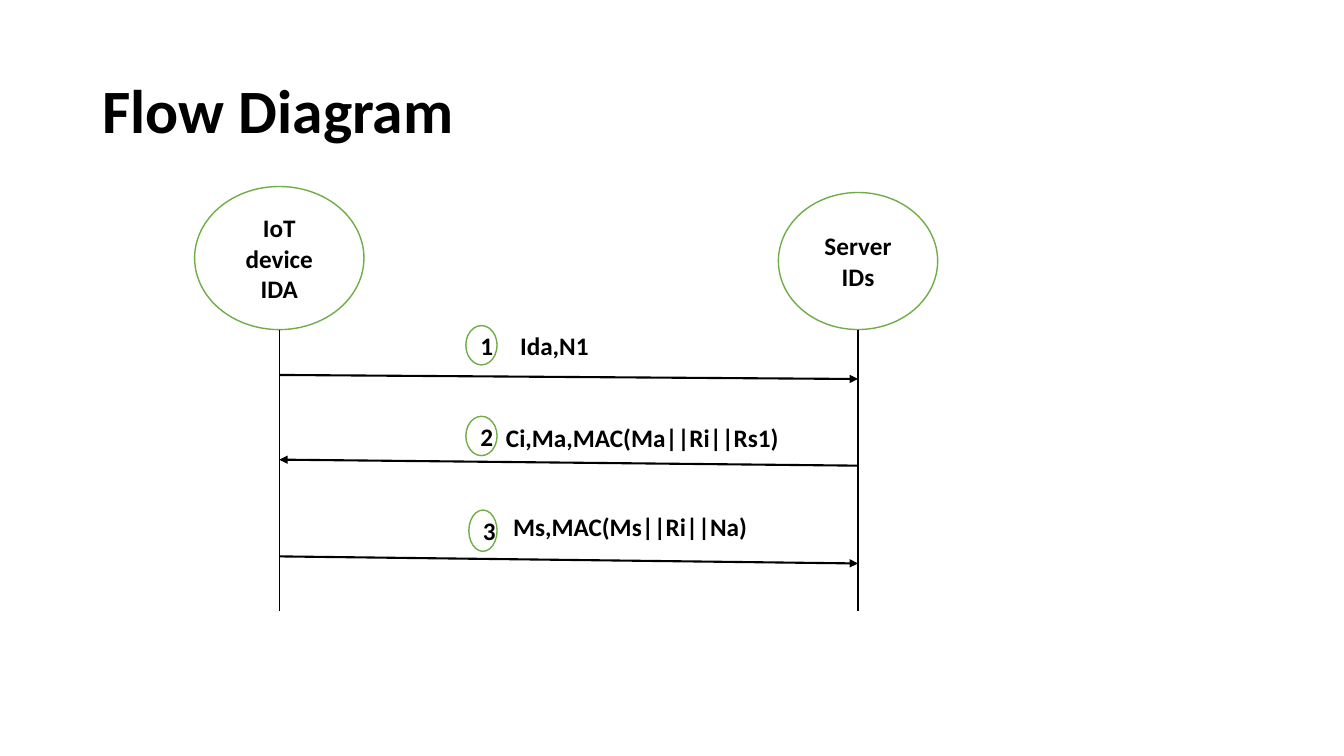
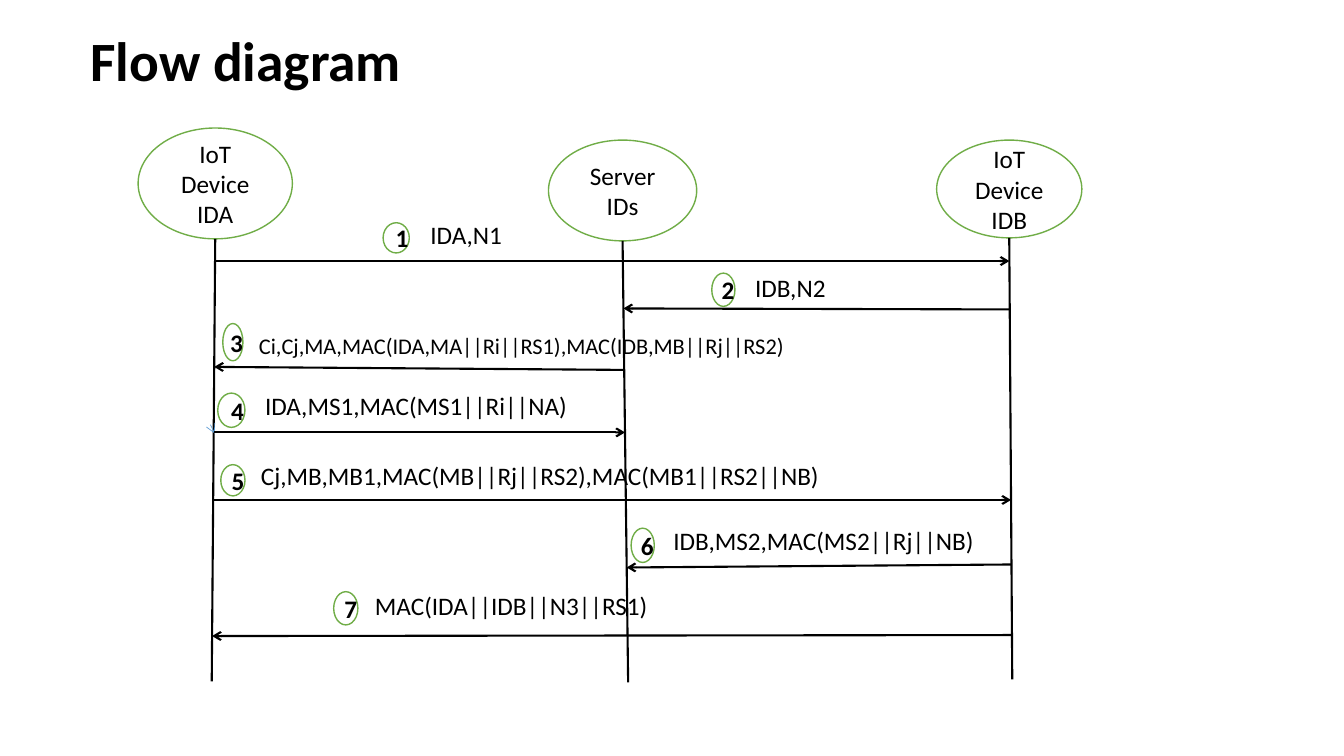
"""Build two message flow diagrams on a grid of square cells, 75 rows to the slide."""
from dataclasses import dataclass
from typing import Optional

import lxml.etree
import pptx
import pptx.dml.color
import pptx.enum.shapes
import pptx.enum.text
import pptx.oxml.ns
import pptx.util

COLORS = {"ink": "000000", "paper": "FFFFFF", "ring": "70AD47", "accent": "5B9BD5"}
FONT = "Calibri"
ROWS = 75
LABEL_ROWS = 4
SHAPES = pptx.enum.shapes.MSO_SHAPE
ANCHOR = pptx.enum.text.MSO_ANCHOR
ALIGN = pptx.enum.text.PP_ALIGN

prs = pptx.Presentation()
prs.slide_width = pptx.util.Inches(13.33)
prs.slide_height = pptx.util.Inches(7.5)

Point = tuple[float, float]
Box = tuple[float, float, float, float]


@dataclass(frozen=True)
class Actor:
    text: str
    box: Box
    foot: Point
    weight: float = 1.5

    @property
    def head(self) -> Point:
        left, top, width, height = self.box
        return left + width / 2, top + height

    def x_at(self, y: float) -> float:
        (x0, y0), (x1, y1) = self.head, self.foot
        return x0 + (x1 - x0) * (y - y0) / (y1 - y0)


@dataclass(frozen=True)
class Message:
    text: str
    source: int
    target: int
    rows: Point
    badge: Box
    label: tuple[float, float, float]
    size: float = 18


@dataclass(frozen=True)
class Tick:
    start: Point
    end: Point


@dataclass(frozen=True)
class Flow:
    title: str
    title_box: Box
    title_size: float
    bold: bool
    arrow: str
    badge_shape: SHAPES
    actors: list[Actor]
    messages: list[Message]
    tick: Optional[Tick] = None


def cells(*values: float) -> list[int]:
    return [round(value * prs.slide_height / ROWS) for value in values]


def rgb(name: str) -> pptx.dml.color.RGBColor:
    return pptx.dml.color.RGBColor.from_string(COLORS[name])


def write(tf, text: str, size: float, bold: bool) -> None:
    tf.text = text
    for p in tf.paragraphs:
        for r in p.runs:
            r.font.name, r.font.size, r.font.bold = FONT, pptx.util.Pt(size), bold
            r.font.color.rgb = rgb("ink")


def draw_title(s, flow: Flow) -> None:
    tf = s.shapes.add_textbox(*cells(*flow.title_box)).text_frame
    tf.word_wrap = True
    tf.vertical_anchor = ANCHOR.MIDDLE
    write(tf, flow.title, flow.title_size, True)
    tf.paragraphs[0].line_spacing = 0.9


def draw_ring(s, shape: SHAPES, box: Box, text: str, bold: bool) -> None:
    sp = s.shapes.add_shape(shape, *cells(*box))
    sp.shadow.inherit = False
    sp.fill.solid()
    sp.fill.fore_color.rgb = rgb("paper")
    sp.line.color.rgb = rgb("ring")
    sp.line.width = pptx.util.Pt(1)
    tf = sp.text_frame
    tf.vertical_anchor = ANCHOR.MIDDLE
    write(tf, text, 18, bold)
    tf.paragraphs[0].alignment = ALIGN.CENTER


def draw_line(s, start: Point, end: Point, weight: float = 1.5,
              color: str = "ink", arrow: str = "") -> None:
    sp = s.shapes.add_connector(pptx.enum.shapes.MSO_CONNECTOR.STRAIGHT,
                                *cells(*start, *end))
    sp.line.color.rgb = rgb(color)
    sp.line.width = pptx.util.Pt(weight)
    qn = pptx.oxml.ns.qn
    props = sp.element.spPr
    if arrow:
        lxml.etree.SubElement(props.find(qn("a:ln")), qn("a:tailEnd"), type=arrow)
    lxml.etree.SubElement(props, qn("a:effectLst"))


def draw_label(s, message: Message, bold: bool) -> None:
    tf = s.shapes.add_textbox(*cells(*message.label, LABEL_ROWS)).text_frame
    tf.word_wrap = False
    tf.auto_size = pptx.enum.text.MSO_AUTO_SIZE.SHAPE_TO_FIT_TEXT
    write(tf, message.text, message.size, bold)


def draw_flow(flow: Flow) -> None:
    s = prs.slides.add_slide(prs.slide_layouts[6])
    draw_title(s, flow)
    for actor in flow.actors:
        draw_ring(s, SHAPES.OVAL, actor.box, actor.text, flow.bold)
        draw_line(s, actor.head, actor.foot, actor.weight)
    if flow.tick:
        draw_line(s, flow.tick.start, flow.tick.end, 0.5, "accent", flow.arrow)
    for number, message in enumerate(flow.messages, 1):
        start, end = ((flow.actors[i].x_at(y), y) for i, y in
                      zip((message.source, message.target), message.rows))
        draw_line(s, start, end, arrow=flow.arrow)
        draw_ring(s, flow.badge_shape, message.badge, str(number), True)
        draw_label(s, message, flow.bold)


FLOWS = [
    Flow("Flow Diagram", (9.2, 4, 115, 14.5), 44, True, "triangle",
         SHAPES.FLOWCHART_CONNECTOR,
         [Actor("IoT device IDA", (19.3, 18.5, 16.8, 14.2), (27.7, 60.6), 0.5),
          Actor("Server IDs", (77.2, 19.1, 15.8, 13.6), (85.1, 60.6))],
         [Message("Ida,N1", 0, 1, (37.2, 37.6),
                  (46.2, 32.3, 3.1, 3.9), (50.6, 32.3, 8.9)),
          Message("Ci,Ma,MAC(Ma||Ri||Rs1)", 1, 0, (46.2, 45.6),
                  (46.2, 41.3, 3.1, 3.9), (49.2, 41.4, 29.3)),
          Message("Ms,MAC(Ms||Ri||Na)", 0, 1, (55.2, 55.9),
                  (46.5, 50.6, 2.8, 4.1), (49.9, 50.2, 25.4))]),
    Flow("Flow diagram", (8, 4, 116.2, 4.7), 39.6, False, "arrow", SHAPES.OVAL,
         [Actor("IoT Device IDA", (13.7, 12.7, 15.3, 11), (21, 67.6)),
          Actor("Server IDs", (54.4, 13.9, 14.7, 10), (62.3, 67.7)),
          Actor("IoT Device IDB", (92.9, 13.9, 14.4, 9.7), (100.4, 67.4))],
         [Message("IDA,N1", 0, 2, (25.9, 25.9),
                  (38, 22.1, 2.6, 3), (41.7, 21.3, 9.2)),
          Message("IDB,N2", 2, 1, (30.7, 30.6),
                  (70.6, 27.1, 2.3, 3.3), (73.9, 26.5, 9.1)),
          Message("Ci,Cj,MA,MAC(IDA,MA||Ri||RS1),MAC(IDB,MB||Rj||RS2)", 1, 0,
                  (36.7, 36.4), (22.1, 32.1, 2, 3.7), (24.7, 32.5, 54.8), 16),
          Message("IDA,MS1,MAC(MS1||Ri||NA)", 0, 1, (42.9, 42.9),
                  (21.6, 39, 2.7, 3.4), (25.3, 38.2, 32.2)),
          Message("Cj,MB,MB1,MAC(MB||Rj||RS2),MAC(MB1||RS2||NB)", 0, 2,
                  (49.6, 49.6), (21.9, 46.1, 2.4, 3.1), (24.9, 45.2, 57.8)),
          Message("IDB,MS2,MAC(MS2||Rj||NB)", 2, 1, (56, 56.3),
                  (62.6, 52.4, 2.3, 3.4), (65.8, 51.6, 32.1)),
          Message("MAC(IDA||IDB||N3||RS1)", 2, 0, (63, 63.1),
                  (33.1, 58.7, 2.4, 3.3), (36.2, 58.1, 29.3))],
         Tick((21, 42.4), (21.3, 43))),
]

for flow in FLOWS:
    draw_flow(flow)
prs.save("out.pptx")
